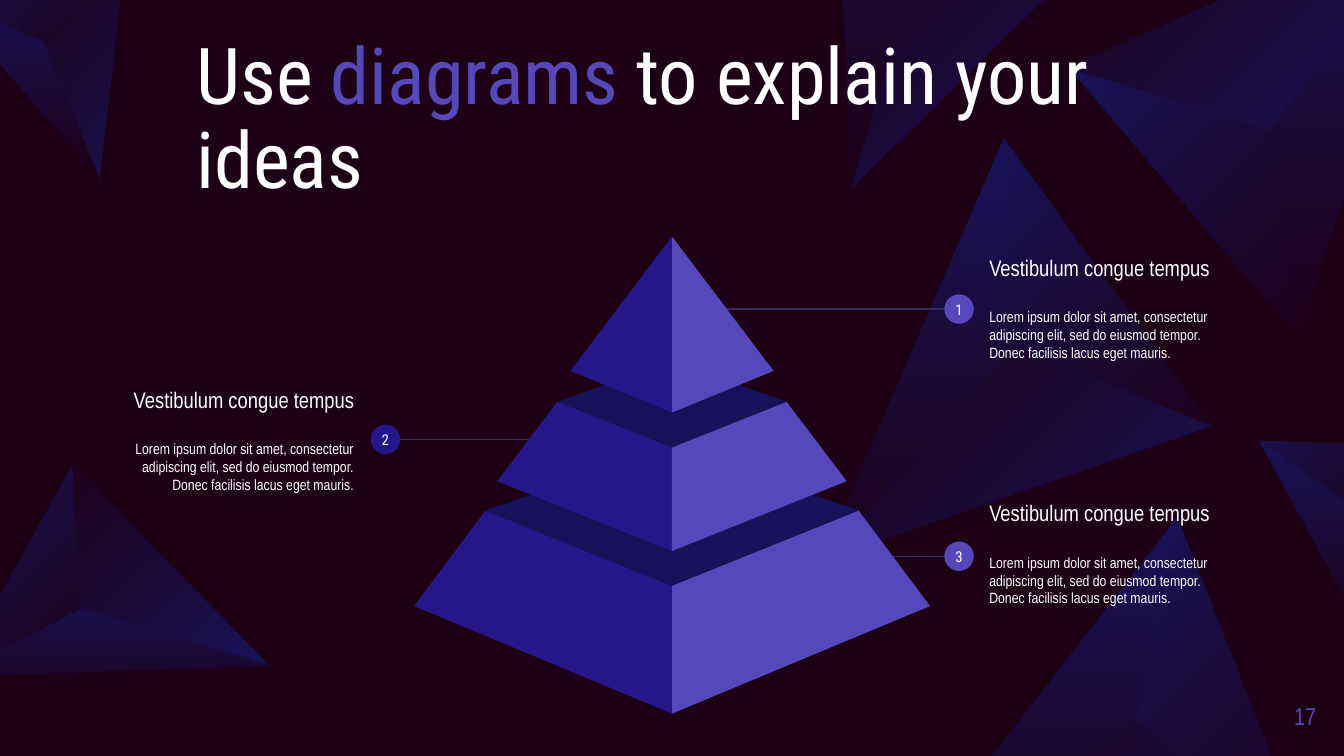
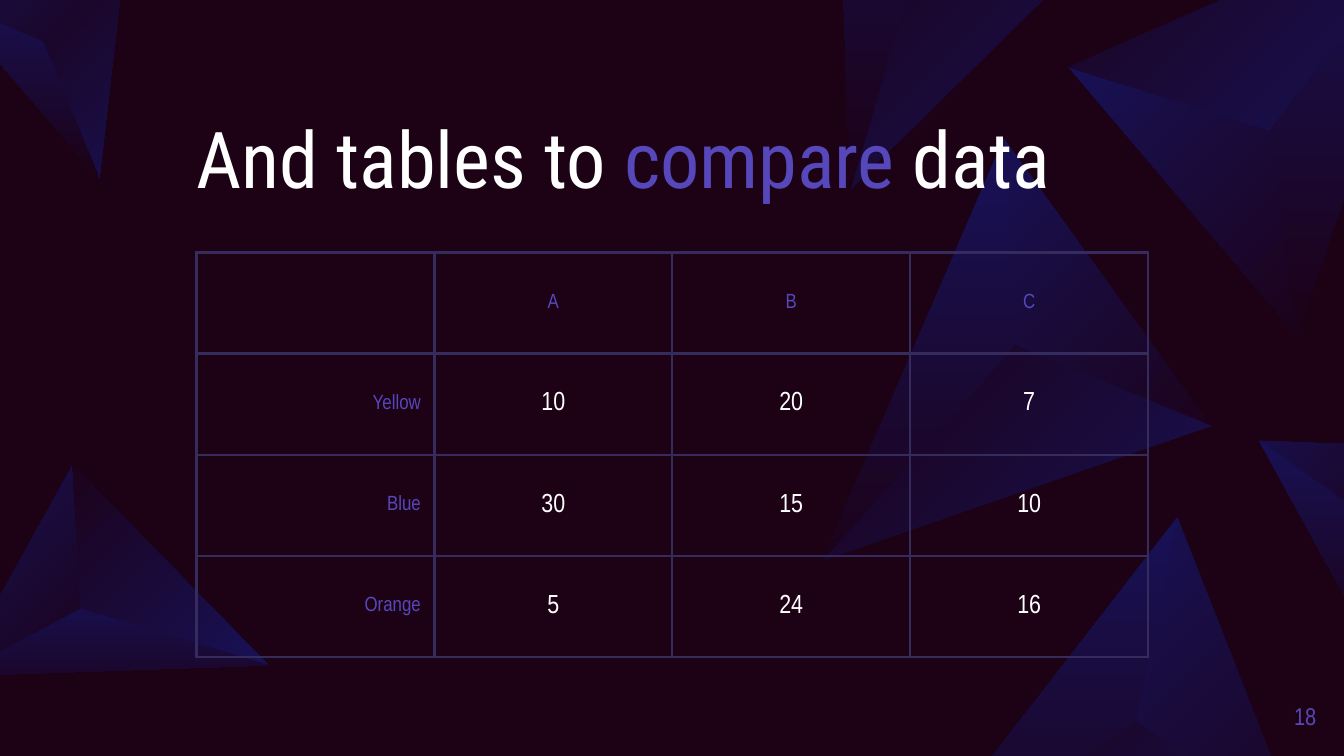
from dataclasses import dataclass
from math import cos, radians, sin

from lxml.etree import SubElement as Sub
from pptx import Presentation
from pptx.dml.color import RGBColor as RGB
from pptx.enum.shapes import MSO_CONNECTOR as Link, MSO_SHAPE as Kind
from pptx.enum.text import MSO_ANCHOR as Anchor, MSO_AUTO_SIZE as Fit, PP_ALIGN as Align
from pptx.oxml.ns import qn
from pptx.util import Pt


@dataclass(frozen=True)
class Theme:
    back: str = "1D0216"
    navy: str = "17125A"
    blue: str = "251789"
    violet: str = "5648BA"
    line: str = "352B5D"
    white: str = "FFFFFF"
    head: str = "Roboto Condensed"
    body: str = "Arial Narrow"
    title: int = 42
    cell: int = 14
    page: int = 13
    lead: int = 12
    label: int = 11
    small: int = 8


T = Theme()
LAYOUT = 5  # title only
WIDTH, HEIGHT = 720, 405
LEFT, WIDE = 105.2, 510
MID = 360

# Each shard: its turn in degrees, three outer corners, the inner ridge point
SHARDS = [
    (100.5, (694.8, 180), (572.4, 36), (774, -52.6), (680.4, 69.8)),
    (169.6, (-23.8, 362.2), (38.9, 249.1), (144, 356.4), (43.2, 326.2)),
    (285.1, (537.8, 74.2), (648.7, 228.2), (440.6, 300.2), (543.6, 185)),
    (299.6, (630.7, 277.2), (699.8, 453.6), (480.2, 471.6), (608.4, 385.9)),
    (233.2, (674.6, 236.2), (772.6, 239.8), (735.8, 347.8), (721.4, 269.3)),
    (259.7, (447.1, -144), (612.7, -53.3), (455.4, 101.5), (499, -46.4)),
    (220.8, (-29.5, 0), (66.2, -17.3), (53.3, 95.8), (23, 22.3)),
]

# Each tier: half width, side y and middle y of the upper edge,
# the same for the lower edge, then the y of the lid's back corner
TIERS = [
    (100, 273.6, 313.9, 138.2, 324.7, 382.3, 239),
    (61.4, 215.3, 239.8, 93.6, 257.8, 295.2, 193.7),
    (0, 126.7, 126.7, 54.4, 198.7, 221, None),
]

LEAD = "Vestibulum congue tempus"
LOREM = ("Lorem ipsum dolor sit amet, consectetur adipiscing elit, "
         "sed do eiusmod tempor. Donec facilisis lacus eget mauris.")

ROWS = [
    ["", "A", "B", "C"],
    ["Yellow", "10", "20", "7"],
    ["Blue", "30", "15", "10"],
    ["Orange", "5", "24", "16"],
]


def rgb(code):
    return RGB.from_string(code)


def turn(point, angle):
    """Rotate a point clockwise about the origin."""
    (x, y), a = point, radians(angle)
    return x * cos(a) - y * sin(a), x * sin(a) + y * cos(a)


def level(points, angle):
    """Undo a shape's rotation about the centre of its own frame."""
    flat = [turn(point, -angle) for point in points]
    mid = [(min(axis) + max(axis)) / 2 for axis in zip(*flat)]
    cx, cy = turn(mid, angle)
    return [(x + cx - mid[0], y + cy - mid[1]) for x, y in flat]


def seen(points):
    xs, ys = zip(*points)
    return max(xs) > 0 and min(xs) < WIDTH and max(ys) > 0 and min(ys) < HEIGHT


def write(para, text, font=T.body, size=T.small, color=T.white,
          align=Align.LEFT, before=0):
    """Add a run to the paragraph and format both."""
    para.alignment = align
    para.space_before = Pt(before)
    run = para.add_run()
    run.text = text
    run.font.name = font
    run.font.size = Pt(size)
    run.font.color.rgb = rgb(color)


def setup(frame, inset=0, anchor=Anchor.MIDDLE):
    frame.word_wrap = True
    frame.auto_size = Fit.NONE
    frame.vertical_anchor = anchor
    frame.margin_left = frame.margin_right = Pt(inset)
    frame.margin_top = frame.margin_bottom = Pt(inset)
    return frame


def border(cell, color, width):
    props = cell._tc.get_or_add_tcPr()
    for side in ("lnL", "lnR", "lnT", "lnB"):
        line = Sub(props, qn("a:" + side), w=str(Pt(width)))
        fill = Sub(line, qn("a:solidFill"))
        Sub(fill, qn("a:srgbClr"), val=color)


class Deck:
    def __init__(self):
        self.prs = Presentation()
        self.prs.slide_width, self.prs.slide_height = Pt(WIDTH), Pt(HEIGHT)
        self.layout = self.prs.slide_layouts[LAYOUT]
        for holder in list(self.layout.placeholders)[1:]:
            self.layout.shapes.element.remove(holder.element)
        fill = self.prs.slide_master.background.fill
        fill.solid()
        fill.fore_color.rgb = rgb(T.back)
        self.slide = None

    def start(self, number, *parts):
        """Begin a slide; title parts are (text, colour) pairs."""
        first = self.slide is None
        self.slide = self.prs.slides.add_slide(self.layout)
        if first:
            self.shards()
        title = self.slide.shapes.title
        title.left, title.top = Pt(LEFT), Pt(63.4)
        title.width, title.height = Pt(WIDE), Pt(46.8)
        para = setup(title.text_frame, anchor=Anchor.BOTTOM).paragraphs[0]
        para.line_spacing = 0.9
        for text, color in parts:
            write(para, text, font=T.head, size=T.title, color=color)
        page = self.box(673.4, 368, 31.7, 31)
        write(page.paragraphs[0], str(number), size=T.page, color=T.violet,
              align=Align.RIGHT)

    def shards(self):
        """Build the backdrop and move it to the layout all slides share."""
        for angle, a, b, c, ridge in SHARDS:
            facets = [((a, b, ridge), 315), ((b, c, ridge), 135), ((a, ridge, c), 270)]
            for points, slant in facets:
                if seen(points):
                    shape = self.shape(level(points, angle))
                    shape.rotation = angle
                    self.fade(shape, slant)
                    self.layout.shapes.element.append(shape.element)

    def fade(self, shape, slant):
        """Fill with a gradient that keeps its slant when the shape turns."""
        fill = shape.fill
        fill.gradient()
        fill.gradient_angle = slant
        for stop, color, place in zip(fill.gradient_stops, (T.navy, T.back), (0, 1)):
            stop.color.rgb = rgb(color)
            stop.position = place
        shape.element.spPr.find(qn("a:gradFill")).set("rotWithShape", "0")

    def shape(self, points, color=None):
        spots = [(Pt(x), Pt(y)) for x, y in points]
        pen = self.slide.shapes.build_freeform(*spots[0])
        pen.add_line_segments(spots[1:], close=True)
        return self.plain(pen.convert_to_shape(), color)

    def plain(self, shape, color):
        shape.shadow.inherit = False
        shape.line.fill.background()
        if color:
            shape.fill.solid()
            shape.fill.fore_color.rgb = rgb(color)
        return shape

    def box(self, x, y, w, h, inset=0):
        area = self.slide.shapes.add_textbox(Pt(x), Pt(y), Pt(w), Pt(h))
        return setup(area.text_frame, inset)

    def line(self, x1, x2, y):
        link = self.slide.shapes.add_connector(
            Link.STRAIGHT, Pt(x1), Pt(y), Pt(x2), Pt(y))
        link.line.color.rgb = rgb(T.line)
        link.line.width = Pt(0.75)
        Sub(link.element.spPr, qn("a:effectLst"))

    def dot(self, x, y, text, color, size=15.8):
        """Draw a numbered circle centred on x, y."""
        disc = self.slide.shapes.add_shape(
            Kind.OVAL, Pt(x - size / 2), Pt(y - size / 2), Pt(size), Pt(size))
        self.plain(disc, color)
        frame = setup(disc.text_frame)
        frame.word_wrap = False
        write(frame.paragraphs[0], text, font=T.head, align=Align.CENTER)

    def callout(self, number, y, tip, top, x=513.8, left=522.9,
                color=T.violet, align=Align.LEFT):
        self.line(tip, x, y)
        frame = self.box(left, top, 147, 108.7, inset=7.2)
        write(frame.paragraphs[0], LEAD, size=T.lead, align=align)
        write(frame.add_paragraph(), LOREM, align=align, before=14.4)
        self.dot(x, y, str(number), color)

    def tier(self, half, side, mid, base, foot, front, back):
        if back is not None:
            self.shape([(MID - half, side), (MID, mid), (MID + half, side),
                        (MID, back)], T.navy)
        for sign, color in ((-1, T.blue), (1, T.violet)):
            self.shape([(MID + sign * half, side), (MID + sign * base, foot),
                        (MID, front), (MID, mid)], color)

    def table(self, rows, top, high):
        count = len(rows[0])
        grid = self.slide.shapes.add_table(
            len(rows), count, Pt(LEFT), Pt(top), Pt(WIDE), Pt(high)).table
        grid.first_row = grid.horz_banding = False
        for r, row in enumerate(rows):
            for c, text in enumerate(row):
                cell = grid.cell(r, c)
                border(cell, T.line, 1.5)
                cell.fill.background()
                cell.vertical_anchor = Anchor.MIDDLE
                cell.margin_left = cell.margin_right = Pt(7.2)
                cell.margin_top = cell.margin_bottom = Pt(5)
                if text:
                    head = r == 0 or c == 0
                    write(cell.text_frame.paragraphs[0], text,
                          size=T.label if head else T.cell,
                          color=T.violet if head else T.white,
                          align=Align.CENTER if c else Align.RIGHT)


def main():
    deck = Deck()

    deck.start(17, ("Use ", T.white), ("diagrams", T.violet),
               (" to explain your ideas", T.white))
    deck.callout(3, y=298, tip=475.2, top=242)
    deck.callout(2, y=235.4, tip=285.8, top=181.2, x=206.5, left=49.9,
                 color=T.blue, align=Align.RIGHT)
    deck.callout(1, y=165.6, tip=386.6, top=110.3)
    for tier in TIERS:
        deck.tier(*tier)

    deck.start(18, ("And tables to ", T.white), ("compare", T.violet),
               (" data", T.white))
    deck.table(ROWS, top=135.2, high=216.8)

    deck.prs.save("out.pptx")


if __name__ == "__main__":
    main()
